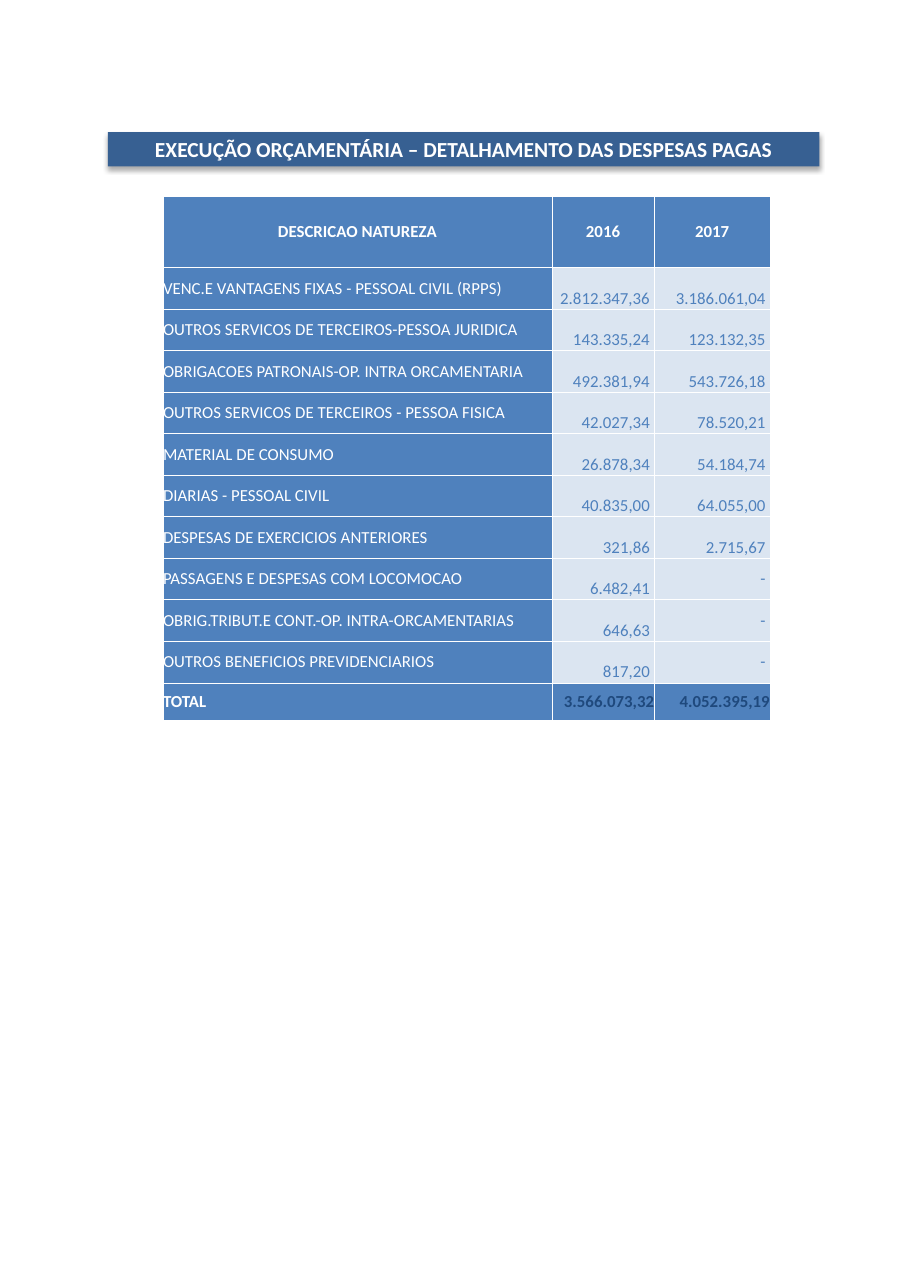
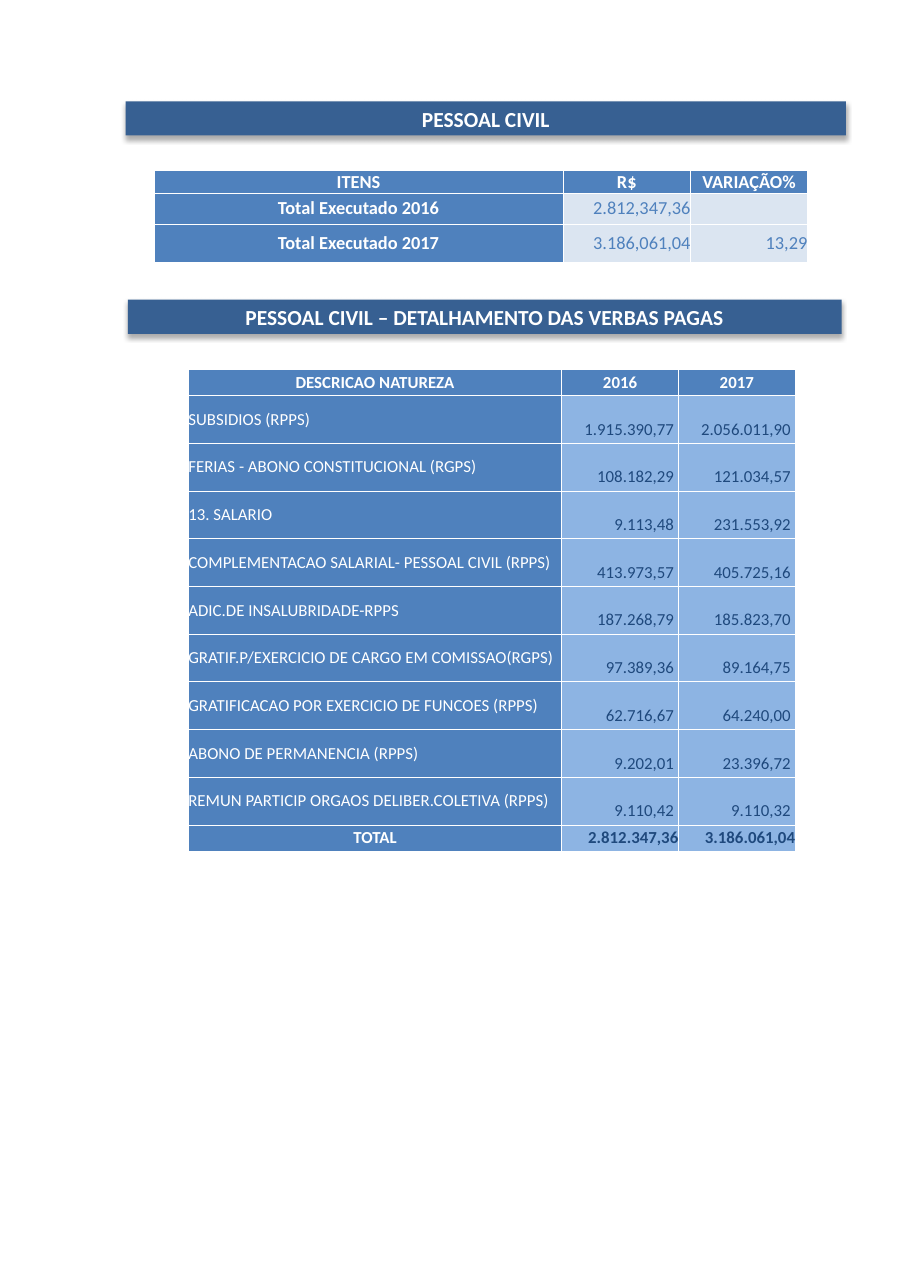
from lxml import etree
from pptx import Presentation, util as u
from pptx.dml.color import RGBColor
from pptx.enum import shapes, text
from pptx.oxml.ns import qn

# Shared look
WHITE = RGBColor(0xFF, 0xFF, 0xFF)
BAND_BLUE = RGBColor(0x37, 0x60, 0x92)
CELL_BLUE = RGBColor(0x4F, 0x81, 0xBD)
PALE_BLUE = RGBColor(0xDB, 0xE5, 0xF1)
MID_BLUE = RGBColor(0x8D, 0xB4, 0xE3)
DARK_BLUE = RGBColor(0x1F, 0x49, 0x7D)
FONT = "Calibri"
PAGE_WIDTH, PAGE_HEIGHT = 8.27, 11.69
BAND_HEIGHT = 0.31
LINE_DROP = 0.18   # amounts sit one text line lower than their labels
AMOUNT_GAP = 0.04  # space to the right of an amount
LEFT, CENTER, RIGHT = text.PP_ALIGN.LEFT, text.PP_ALIGN.CENTER, text.PP_ALIGN.RIGHT

PAID_EXPENSES = [
    ("DESCRICAO NATUREZA", "2016", "2017"),
    ("VENC.E VANTAGENS FIXAS - PESSOAL CIVIL (RPPS)", "2.812.347,36", "3.186.061,04"),
    ("OUTROS SERVICOS DE TERCEIROS-PESSOA JURIDICA", "143.335,24", "123.132,35"),
    ("OBRIGACOES PATRONAIS-OP. INTRA ORCAMENTARIA", "492.381,94", "543.726,18"),
    ("OUTROS SERVICOS DE TERCEIROS - PESSOA FISICA", "42.027,34", "78.520,21"),
    ("MATERIAL DE CONSUMO", "26.878,34", "54.184,74"),
    ("DIARIAS - PESSOAL CIVIL", "40.835,00", "64.055,00"),
    ("DESPESAS DE EXERCICIOS ANTERIORES", "321,86", "2.715,67"),
    ("PASSAGENS E DESPESAS COM LOCOMOCAO", "6.482,41", "-"),
    ("OBRIG.TRIBUT.E CONT.-OP. INTRA-ORCAMENTARIAS", "646,63", "-"),
    ("OUTROS BENEFICIOS PREVIDENCIARIOS", "817,20", "-"),
    ("TOTAL", "3.566.073,32", "4.052.395,19"),
]
STAFF_TOTALS = [
    ("ITENS", "R$", "VARIAÇÃO%"),
    ("Total Executado 2016", "2.812,347,36", ""),
    ("Total Executado 2017", "3.186,061,04", "13,29"),
]
STAFF_PAYMENTS = [
    ("DESCRICAO NATUREZA", "2016", "2017"),
    ("SUBSIDIOS (RPPS)", "1.915.390,77", "2.056.011,90"),
    ("FERIAS - ABONO CONSTITUCIONAL (RGPS)", "108.182,29", "121.034,57"),
    ("13. SALARIO", "9.113,48", "231.553,92"),
    ("COMPLEMENTACAO SALARIAL- PESSOAL CIVIL (RPPS)", "413.973,57", "405.725,16"),
    ("ADIC.DE INSALUBRIDADE-RPPS", "187.268,79", "185.823,70"),
    ("GRATIF.P/EXERCICIO DE CARGO EM COMISSAO(RGPS)", "97.389,36", "89.164,75"),
    ("GRATIFICACAO POR EXERCICIO DE FUNCOES (RPPS)", "62.716,67", "64.240,00"),
    ("ABONO DE PERMANENCIA (RPPS)", "9.202,01", "23.396,72"),
    ("REMUN PARTICIP ORGAOS DELIBER.COLETIVA (RPPS)", "9.110,42", "9.110,32"),
    ("TOTAL", "2.812.347,36", "3.186.061,04"),
]


def style_para(para, size, color, bold, align):
    para.alignment = align
    font = para.font
    font.name, font.size, font.bold = FONT, u.Pt(size), bold
    font.color.rgb = color


def add_shadow(shape):
    shape.shadow.inherit = False
    effects = shape._element.spPr.find(qn("a:effectLst"))
    shadow = etree.SubElement(effects, qn("a:outerShdw"), blurRad=str(u.Pt(3.5)),
                              dist=str(u.Pt(2.2)), dir="5400000", rotWithShape="0")
    tint = etree.SubElement(shadow, qn("a:srgbClr"), val="000000")
    etree.SubElement(tint, qn("a:alpha"), val="32000")


def format_band(shape, left, top, width, wording):
    """Turn a title placeholder or a rectangle into a heading band."""
    shape.left, shape.top = u.Inches(left), u.Inches(top)
    shape.width, shape.height = u.Inches(width), u.Inches(BAND_HEIGHT)
    shape.fill.solid()
    shape.fill.fore_color.rgb = BAND_BLUE
    shape.line.fill.background()
    add_shadow(shape)
    frame = shape.text_frame
    frame.text = wording
    frame.word_wrap = True
    frame.auto_size = text.MSO_AUTO_SIZE.NONE
    frame.vertical_anchor = text.MSO_ANCHOR.MIDDLE
    style_para(frame.paragraphs[0], 14, WHITE, True, CENTER)


def add_page(deck, left, top, width, title):
    page = deck.slides.add_slide(deck.slide_layouts[5])
    format_band(page.shapes.title, left, top, width, title)
    return page


def add_borders(cell):
    props = cell._tc.get_or_add_tcPr()
    for place, side in enumerate(("lnL", "lnR", "lnT", "lnB")):
        line = etree.Element(qn(f"a:{side}"), w=str(u.Pt(0.5)))
        fill = etree.SubElement(line, qn("a:solidFill"))
        etree.SubElement(fill, qn("a:srgbClr"), val=str(WHITE))
        props.insert(place, line)


def fill_cell(cell, wording, fill, size, color, bold, align, drop=0, gap=0):
    cell.text = wording
    cell.margin_left = cell.margin_bottom = 0
    cell.margin_top, cell.margin_right = u.Inches(drop), u.Inches(gap)
    cell.vertical_anchor = text.MSO_ANCHOR.MIDDLE
    cell.fill.solid()
    cell.fill.fore_color.rgb = fill
    add_borders(cell)
    para = cell.text_frame.paragraphs[0]
    style_para(para, size, color, bold, align)
    if not wording:
        etree.SubElement(para._p, qn("a:endParaRPr"), sz=str(size * 100))


def add_grid(page, left, top, widths, heights):
    frame = page.shapes.add_table(len(heights), len(widths), u.Inches(left), u.Inches(top),
                                  u.Inches(sum(widths)), u.Inches(sum(heights)))
    table = frame.table
    table.horz_banding = False
    for column, width in zip(table.columns, widths):
        column.width = u.Inches(width)
    for row, height in zip(table.rows, heights):
        row.height = u.Inches(height)
    return table


def add_header(table, names, size):
    for column, name in enumerate(names):
        fill_cell(table.cell(0, column), name, CELL_BLUE, size, WHITE, True, CENTER)


def add_breakdown(page, left, top, widths, height, header, footer, rows,
                  amount_fill, amount_color, total_fill, total_align):
    """Header row, equal rows of expenses, total row."""
    last = len(rows) - 1
    step = (height - header - footer) / (last - 1)
    table = add_grid(page, left, top, widths, [header] + [step] * (last - 1) + [footer])
    add_header(table, rows[0], 11)
    for index, (label, *amounts) in enumerate(rows[1:], 1):
        total = index == last
        fill_cell(table.cell(index, 0), label, CELL_BLUE, 11, WHITE, total,
                  total_align if total else LEFT)
        for column, amount in enumerate(amounts, 1):
            cell = table.cell(index, column)
            if total:
                fill_cell(cell, amount, total_fill, 11, DARK_BLUE, True, RIGHT)
            else:
                fill_cell(cell, amount, amount_fill, 11, amount_color, False, RIGHT,
                          0 if amount == "-" else LINE_DROP, AMOUNT_GAP)


def add_summary(page, left, top, widths, heights, rows):
    table = add_grid(page, left, top, widths, heights)
    add_header(table, rows[0], 12)
    for index, (label, *amounts) in enumerate(rows[1:], 1):
        fill_cell(table.cell(index, 0), label, CELL_BLUE, 12, WHITE, True, CENTER)
        for column, amount in enumerate(amounts, 1):
            fill_cell(table.cell(index, column), amount, PALE_BLUE, 12, CELL_BLUE, False, RIGHT)


def main():
    deck = Presentation()
    deck.slide_width, deck.slide_height = u.Inches(PAGE_WIDTH), u.Inches(PAGE_HEIGHT)

    # Paid expenses
    page = add_page(deck, 0.98, 1.2, 6.46,
                    "EXECUÇÃO ORÇAMENTÁRIA – DETALHAMENTO DAS DESPESAS PAGAS")
    add_breakdown(page, 1.48, 1.78, (3.53, 0.93, 1.05), 4.76, 0.65, 0.34, PAID_EXPENSES,
                  PALE_BLUE, CELL_BLUE, CELL_BLUE, LEFT)

    # Civil staff: totals, then payments
    page = add_page(deck, 1.14, 0.92, 6.54, "PESSOAL CIVIL")
    add_summary(page, 1.4, 1.55, (3.71, 1.16, 1.06), (0.2, 0.28, 0.35), STAFF_TOTALS)
    band = page.shapes.add_shape(shapes.MSO_SHAPE.RECTANGLE, 0, 0, 0, 0)
    format_band(band, 1.16, 2.72, 6.48, "PESSOAL CIVIL – DETALHAMENTO DAS VERBAS PAGAS")
    add_breakdown(page, 1.71, 3.35, (3.39, 1.06, 1.06), 4.38, 0.24, 0.24, STAFF_PAYMENTS,
                  MID_BLUE, DARK_BLUE, MID_BLUE, CENTER)

    deck.save("out.pptx")


if __name__ == "__main__":
    main()
